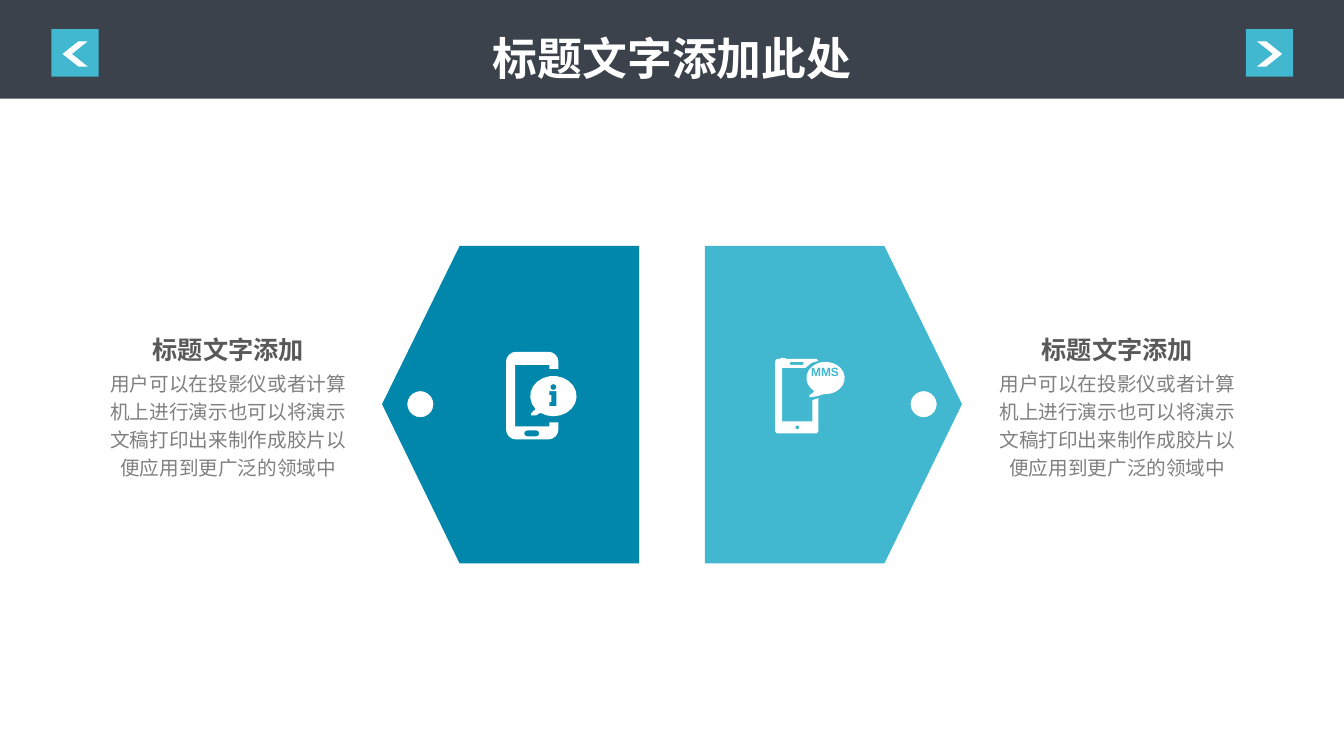
"""Build a slide with two mirrored panels, phone icons and captions under a title band."""
import math
from pptx import Presentation
from pptx import util as u
from pptx.dml.color import RGBColor
from pptx.enum import shapes, text

COLORS = {"dark": "3B424B", "blue": "0187AC", "sky": "41B7D0", "white": "FFFFFF",
          "heading": "595959", "body": "808080"}
PRESET = shapes.MSO_SHAPE
SLIDE_WIDTH = 40 / 3

prs = Presentation()
prs.slide_width, prs.slide_height = u.Inches(SLIDE_WIDTH), u.Inches(7.5)
slide = prs.slides.add_slide(prs.slide_layouts[6])


def arc(x, y, rx, ry, start=0, end=360, steps=20):
    """List points along an elliptical arc, angles in degrees."""
    angles = [math.radians(start + (end - start) * i / steps) for i in range(steps + 1)]
    return [(x + rx * math.cos(a), y + ry * math.sin(a)) for a in angles]


def draw(outline, color, box=None):
    """Draw a preset in a box, or one outline made of several closed contours."""
    if box:
        part = slide.shapes.add_shape(outline, *(u.Inches(v) for v in box))
    else:
        contours = [[(u.Inches(x), u.Inches(y)) for x, y in points] for points in outline]
        builder = slide.shapes.build_freeform(*contours[0][0])
        builder.add_line_segments(contours[0][1:], close=True)
        for contour in contours[1:]:
            builder.move_to(*contour[0])
            builder.add_line_segments(contour[1:], close=True)
        part = builder.convert_to_shape()
    part.shadow.inherit = False
    part.fill.solid()
    part.fill.fore_color.rgb = RGBColor.from_string(COLORS[color])
    part.line.fill.background()
    return part


panel = [
    [(6.34, 2.44), (4.56, 2.44), (3.79, 4.01), (4.56, 5.59), (6.34, 5.59)],
    arc(4.17, 4.01, 0.13, 0.13),
]
draw([[(SLIDE_WIDTH - x, y) for x, y in contour] for contour in panel], "sky")
draw(panel, "blue")

mms_phone = [(7.69, 3.58), (7.71, 3.56), (7.74, 3.56), (7.75, 3.55), (7.79, 3.55),
             (7.8, 3.56), (8.1, 3.56), (8.12, 3.58), (8.05, 3.6), (7.99, 3.65),
             (7.76, 3.65), (7.76, 4.18), (8.06, 4.18), (8.06, 3.97), (8.12, 3.95),
             (8.12, 4.28), (8.1, 4.3), (7.71, 4.3), (7.69, 4.28)]
mms_bubble = arc(8.19, 3.75, 0.19, 0.16, 126, 454) + [
    (8.11, 3.93), (8.05, 3.94), (8.03, 3.94), (8.03, 3.92), (8.06, 3.9)]
mms_speaker = [(7.84, 3.59), (7.97, 3.59), (7.97, 3.62), (7.84, 3.62)]
mms_button = arc(7.91, 4.24, 0.02, 0.02, steps=8)
draw([mms_phone, mms_bubble, mms_speaker, mms_button], "white")

info_phone = (
    arc(5.12, 3.59, 0.1, 0.1, 180, 270, 4) + arc(5.44, 3.59, 0.1, 0.1, 270, 360, 4)
    + [(5.54, 3.66), (5.45, 3.66), (5.45, 3.62), (5.11, 3.62), (5.11, 4.23),
       (5.45, 4.23), (5.45, 4.19), (5.54, 4.19)]
    + arc(5.44, 4.26, 0.1, 0.1, 0, 90, 4) + arc(5.12, 4.26, 0.1, 0.1, 90, 180, 4))
info_bubble = arc(5.49, 3.93, 0.23, 0.2, 140, 484) + [
    (5.32, 4.12), (5.27, 4.12), (5.27, 4.1), (5.3, 4.07)]
info_button = (arc(5.23, 4.3, 0.03, 0.03, 90, 270, 4)
               + arc(5.32, 4.3, 0.03, 0.03, 270, 450, 4))
info_dot = arc(5.49, 3.84, 0.03, 0.03, steps=8)
info_stem = [(5.45, 3.88), (5.52, 3.88), (5.52, 4.03), (5.45, 4.03),
             (5.45, 3.99), (5.47, 3.99), (5.47, 3.92), (5.45, 3.92)]
draw([info_phone, info_bubble, info_button, info_dot, info_stem], "white")

draw(PRESET.RECTANGLE, "dark", (0, 0, SLIDE_WIDTH, 0.98))
for button_left, rotation in ((0.51, 180), (12.36, 0)):
    draw(PRESET.RECTANGLE, "sky", (button_left, 0.29, 0.47, 0.47))
    arrow = draw(PRESET.CHEVRON, "white", (button_left + 0.11, 0.41, 0.25, 0.25))
    arrow.adjustments[0] = 0.63
    arrow.rotation = rotation

wording = [("标题文字添加此处", (4.04, 0.15, 5.26, 0.75), 32, "white", True),
           ("MMS", (7.84, 3.54, 0.69, 0.32), 8.5, "sky", True)]
for caption_left in (0.91, 9.73):
    wording += [
        ("用户可以在投影仪或者计算机上进行演示也可以将演示文稿打印出来制作成胶片以便应用到更广泛的领域中",
         (caption_left, 3.59, 2.71, 1.23), 14, "body", False),
        ("标题文字添加", (caption_left + 0.13, 3.21, 2.45, 0.44), 18, "heading", True),
    ]
for words, box, size, color, bold in wording:
    frame = slide.shapes.add_textbox(*(u.Inches(v) for v in box)).text_frame
    frame.word_wrap = True
    frame.auto_size = text.MSO_AUTO_SIZE.SHAPE_TO_FIT_TEXT
    frame.text = words
    paragraph = frame.paragraphs[0]
    paragraph.alignment = text.PP_ALIGN.CENTER
    paragraph.line_spacing = 1.2
    font = paragraph.runs[0].font
    font.name, font.size, font.bold = "Arial", u.Pt(size), bold
    font.color.rgb = RGBColor.from_string(COLORS[color])

prs.save("out.pptx")
